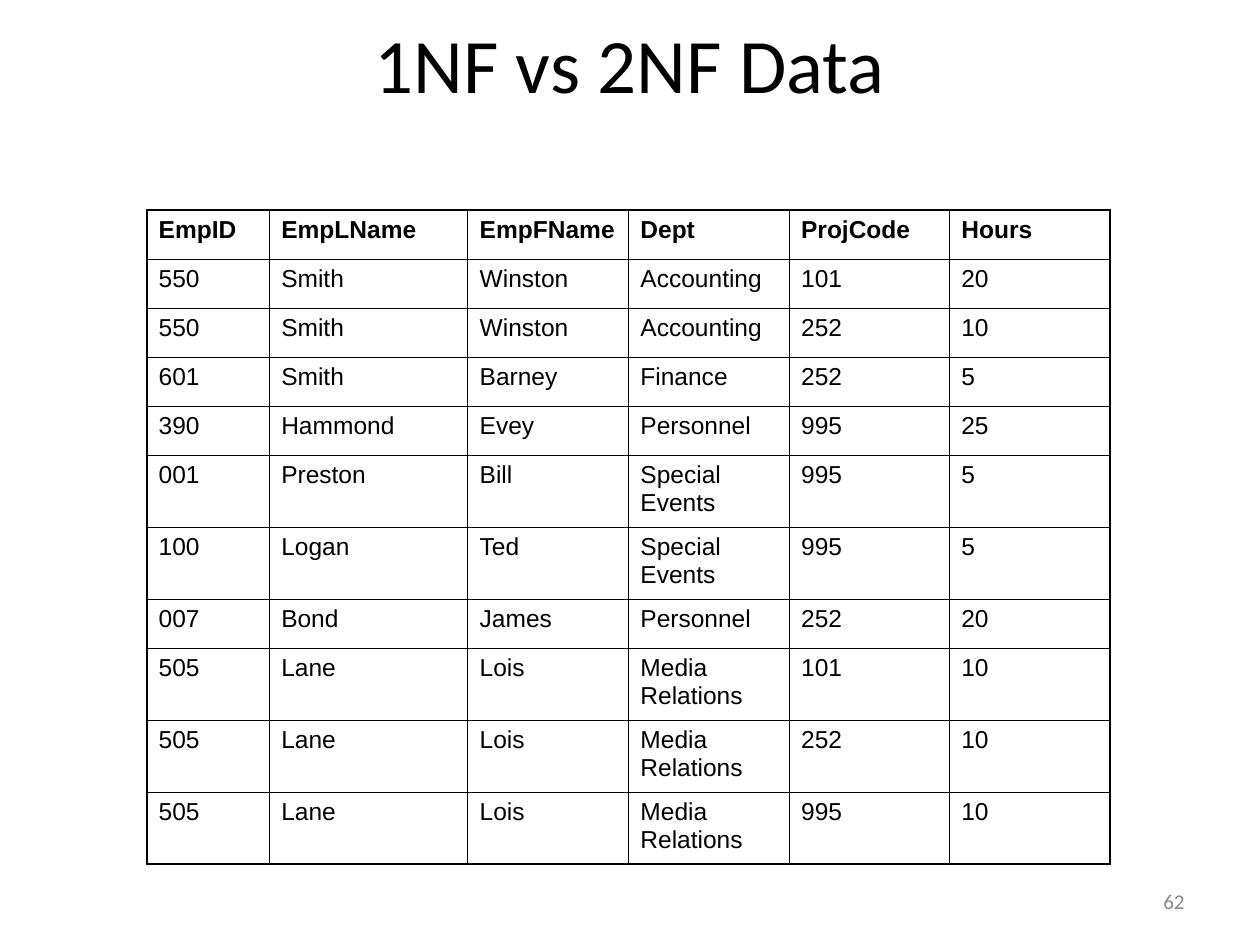
from lxml import etree
from pptx import Presentation, util as u
from pptx.dml.color import RGBColor
from pptx.enum import text
from pptx.oxml.ns import qn

BLACK, GREY = "000000", "898989"
THIN, THICK = 0.45, 1.08  # border widths in points
COL_WIDTHS = [2.47, 4.0] + [3.24] * 2 + [3.23] * 2
ROW_HEIGHT, TALL_ROW_HEIGHT = 0.99, 1.45
CELL_MARGIN = 0.24

EMPLOYEE_ROWS = [
    ("EmpID", "EmpLName", "EmpFName", "Dept", "ProjCode", "Hours"),
    ("550", "Smith", "Winston", "Accounting", "101", "20"),
    ("550", "Smith", "Winston", "Accounting", "252", "10"),
    ("601", "Smith", "Barney", "Finance", "252", "5"),
    ("390", "Hammond", "Evey", "Personnel", "995", "25"),
    ("001", "Preston", "Bill", "Special Events", "995", "5"),
    ("100", "Logan", "Ted", "Special Events", "995", "5"),
    ("007", "Bond", "James", "Personnel", "252", "20"),
    ("505", "Lane", "Lois", "Media Relations", "101", "10"),
    ("505", "Lane", "Lois", "Media Relations", "252", "10"),
    ("505", "Lane", "Lois", "Media Relations", "995", "10"),
]


def rgb(hex_color):
    return RGBColor.from_string(hex_color)


def add_run(p, words, size, font, color, bold=False):
    r = p.add_run()
    r.text = words
    r.font.size = u.Pt(size)
    r.font.name = font
    r.font.bold = bold
    r.font.color.rgb = rgb(color)


def place(sp, left, top, width, height):
    sp.left, sp.top = u.Cm(left), u.Cm(top)
    sp.width, sp.height = u.Cm(width), u.Cm(height)


def set_border(cell, side, width, color):
    tcPr = cell._tc.get_or_add_tcPr()
    ln = etree.SubElement(tcPr, qn(f"a:ln{side}"), w=str(int(u.Pt(width))))
    fill = etree.SubElement(ln, qn("a:solidFill"))
    etree.SubElement(fill, qn("a:srgbClr"), val=color)


def add_title(slide, left, top, width, height):
    sp = slide.shapes.title
    place(sp, left, top, width, height)
    tf = sp.text_frame
    tf.vertical_anchor = text.MSO_ANCHOR.MIDDLE
    p = tf.paragraphs[0]
    p.alignment = text.PP_ALIGN.CENTER
    add_run(p, "1NF vs 2NF Data", 44, "Calibri", BLACK)


def add_employee_table(slide, left, top, rows):
    heights = [TALL_ROW_HEIGHT if " " in row[3] else ROW_HEIGHT for row in rows]
    table = slide.shapes.add_table(
        len(rows), len(COL_WIDTHS), u.Cm(left), u.Cm(top),
        u.Cm(sum(COL_WIDTHS)), u.Cm(sum(heights))).table
    table.first_row = table.horz_banding = False
    for column, width in zip(table.columns, COL_WIDTHS):
        column.width = u.Cm(width)
    for i, (row, height) in enumerate(zip(rows, heights)):
        table.rows[i].height = u.Cm(height)
        for j, value in enumerate(row):
            cell = table.cell(i, j)
            cell.margin_left = cell.margin_right = u.Cm(CELL_MARGIN)
            # Thick lines on the outer edge, thin ones inside
            outer = {"L": j == 0, "R": j == len(row) - 1,
                     "T": i == 0, "B": i == len(rows) - 1}
            for side, is_outer in outer.items():
                set_border(cell, side, THICK if is_outer else THIN, BLACK)
            cell.fill.background()
            add_run(cell.text_frame.paragraphs[0], value, 14, "Arial", BLACK,
                    bold=i == 0)


def add_page_number(slide, left, top, width, height):
    sp = slide.shapes.add_textbox(0, 0, 0, 0)
    place(sp, left, top, width, height)
    tf = sp.text_frame
    tf.word_wrap = True
    tf.vertical_anchor = text.MSO_ANCHOR.MIDDLE
    p = tf.paragraphs[0]
    p.alignment = text.PP_ALIGN.RIGHT
    add_run(p, "62", 12, "Calibri", GREY)


def main():
    prs = Presentation()
    prs.slide_width, prs.slide_height = u.Cm(25.4), u.Cm(19.05)
    slide = prs.slides.add_slide(prs.slide_layouts[5])  # Title Only
    add_title(slide, 0, 0.26, 25.4, 2.01)
    add_employee_table(slide, 2.96, 4.23, EMPLOYEE_ROWS)
    add_page_number(slide, 18.2, 17.66, 5.93, 1.01)
    prs.save("out.pptx")


if __name__ == "__main__":
    main()
